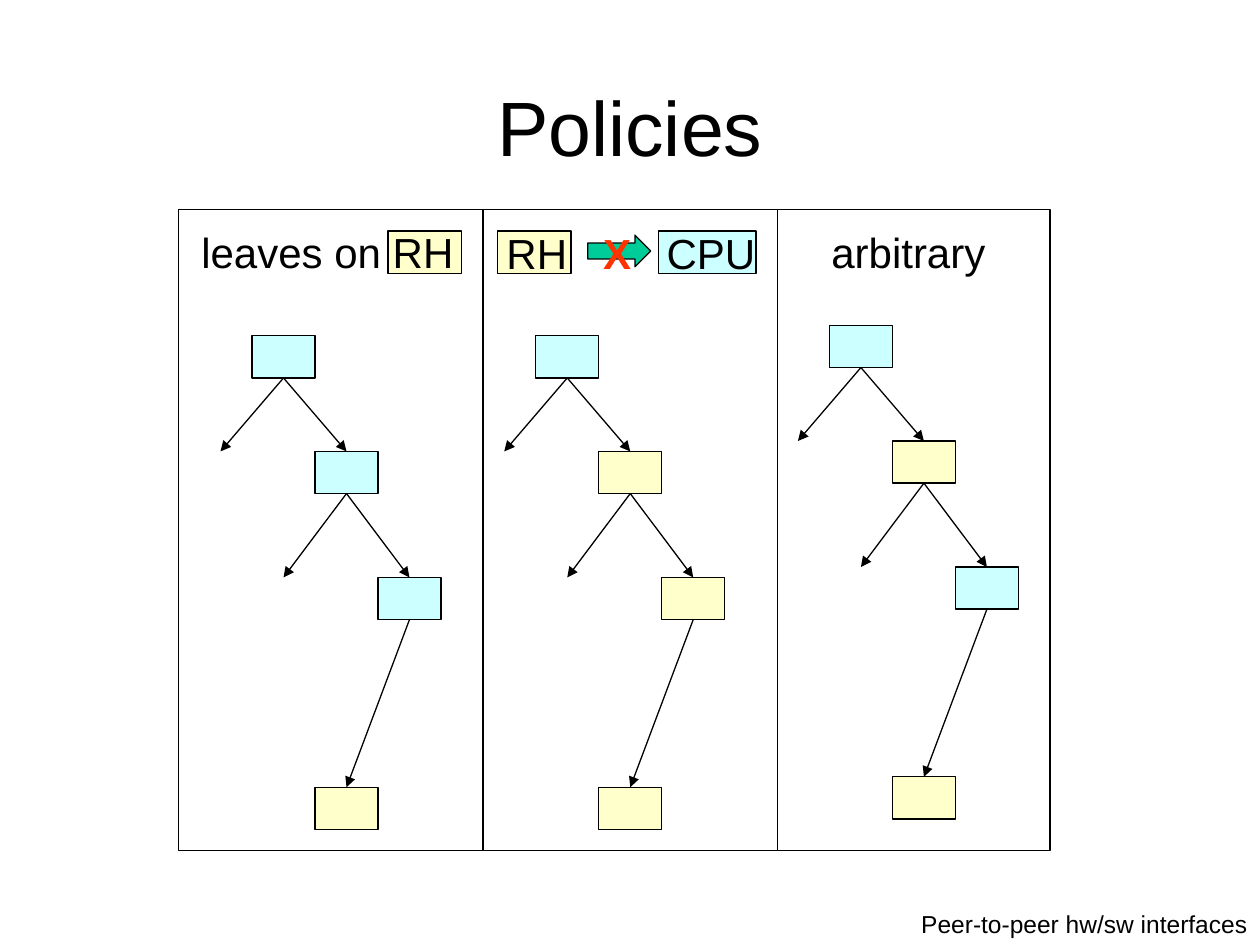
"""Build the Policies slide: three call trees split between hardware and CPU."""
from typing import NamedTuple, Optional

from lxml import etree
from pptx import Presentation
from pptx import util as u
from pptx.dml.color import RGBColor
from pptx.enum import shapes, text
from pptx.oxml import ns

BLACK = RGBColor(0x00, 0x00, 0x00)
HARDWARE = RGBColor(0xFF, 0xFF, 0xCC)
CPU = RGBColor(0xCC, 0xFF, 0xFF)
ARROW_GREEN = RGBColor(0x00, 0xCC, 0x99)
CROSS_RED = RGBColor(0xFF, 0x33, 0x00)
FONT = "Arial"
LINE_WIDTH = u.Pt(0.75)
NODE_WIDTH, NODE_HEIGHT = 1.27, 0.85
STEP = 1.27
NODE_OFFSETS = ((0, 0), (STEP, 2.33), (2 * STEP, 4.87), (STEP, 9.1))
PANEL_TOP, PANEL_HEIGHT = 4.23, 12.91


class Box(NamedTuple):
    left: float
    top: float
    width: float
    height: float


class Span(NamedTuple):
    words: str
    size: int = 24
    color: RGBColor = BLACK
    bold: bool = False


class Label(NamedTuple):
    box: Box
    spans: tuple[Span, ...]
    align: text.PP_ALIGN = text.PP_ALIGN.LEFT
    anchor: text.MSO_ANCHOR = text.MSO_ANCHOR.TOP
    wrap: bool = False
    tabs: tuple[float, ...] = ()


class Policy(NamedTuple):
    panel_left: float
    panel_width: float
    root_left: float
    root_top: float
    owners: tuple[RGBColor, ...]


POLICIES = (
    Policy(3.6, 6.14, 5.08, 6.77, (CPU, CPU, CPU, HARDWARE)),
    Policy(9.74, 5.93, 10.8, 6.77, (CPU, HARDWARE, HARDWARE, HARDWARE)),
    Policy(15.67, 5.5, 16.72, 6.56, (CPU, HARDWARE, CPU, HARDWARE)),
)

KEYS = (
    (Box(7.82, 4.66, 1.48, 0.85), HARDWARE),
    (Box(10.03, 4.66, 1.48, 0.85), HARDWARE),
    (Box(13.28, 4.66, 1.96, 0.85), CPU),
)

LABELS = (
    Label(Box(1.9, 1.69, 21.6, 1.7), (Span("Policies", 44),),
          text.PP_ALIGN.CENTER, text.MSO_ANCHOR.MIDDLE, True),
    Label(Box(3.81, 4.45, 5.59, 1.27), (Span("leaves on RH"),)),
    Label(Box(9.96, 4.32, 5.54, 1.45),
          (Span("RH"), Span("\t", 28), Span("X", color=CROSS_RED, bold=True), Span("\tCPU")),
          tabs=(1.95, 3.23)),
    Label(Box(16.51, 4.45, 3.61, 1.27), (Span("arbitrary"),)),
    Label(Box(15.88, 18.2, 9.52, 0.85), (Span("Peer-to-peer hw/sw interfaces", 14),),
          text.PP_ALIGN.RIGHT, wrap=True),
)


def add_block(slide, box: Box, fill: Optional[RGBColor],
              kind: shapes.MSO_SHAPE = shapes.MSO_SHAPE.RECTANGLE) -> None:
    block = slide.shapes.add_shape(kind, *map(u.Cm, box))
    block.shadow.inherit = False
    if fill is None:
        block.fill.background()
    else:
        block.fill.solid()
        block.fill.fore_color.rgb = fill
    block.line.color.rgb = BLACK
    block.line.width = LINE_WIDTH


def add_call(slide, start: tuple[float, float], end: tuple[float, float]) -> None:
    call = slide.shapes.add_connector(
        shapes.MSO_CONNECTOR.STRAIGHT, *map(u.Cm, start + end))
    call.line.color.rgb = BLACK
    call.line.width = LINE_WIDTH
    etree.SubElement(call.line._get_or_add_ln(), ns.qn("a:tailEnd"), type="triangle")
    etree.SubElement(call._element.spPr, ns.qn("a:effectLst"))


def add_tree(slide, policy: Policy) -> None:
    nodes = [Box(policy.root_left + across, policy.root_top + down, NODE_WIDTH, NODE_HEIGHT)
             for across, down in NODE_OFFSETS]
    for node, owner in zip(nodes, policy.owners):
        add_block(slide, node, owner)
    for depth, (caller, callee) in enumerate(zip(nodes, nodes[1:])):
        middle = caller.left + NODE_WIDTH / 2
        sides = (-STEP,) if depth == 2 else (-STEP, STEP)
        for side in sides:
            add_call(slide, (middle, caller.top + NODE_HEIGHT), (middle + side, callee.top))


def add_label(slide, label: Label) -> None:
    frame = slide.shapes.add_textbox(*map(u.Cm, label.box)).text_frame
    frame.word_wrap = label.wrap
    frame.vertical_anchor = label.anchor
    paragraph = frame.paragraphs[0]
    paragraph.alignment = label.align
    if label.tabs:
        stops = etree.SubElement(paragraph._p.get_or_add_pPr(), ns.qn("a:tabLst"))
        for stop in label.tabs:
            etree.SubElement(stops, ns.qn("a:tab"), pos=str(u.Cm(stop)), algn="l")
    for span in label.spans:
        run = paragraph.add_run()
        run.text = span.words
        run.font.name = FONT
        run.font.size = u.Pt(span.size)
        run.font.bold = span.bold
        run.font.color.rgb = span.color


def main() -> None:
    deck = Presentation()
    deck.slide_width, deck.slide_height = u.Cm(25.4), u.Cm(19.05)
    slide = deck.slides.add_slide(deck.slide_layouts[6])
    for box, owner in KEYS:
        add_block(slide, box, owner)
    add_block(slide, Box(11.85, 4.74, 1.27, 0.64), ARROW_GREEN, shapes.MSO_SHAPE.RIGHT_ARROW)
    for policy in POLICIES:
        add_tree(slide, policy)
    for policy in POLICIES:
        add_block(slide, Box(policy.panel_left, PANEL_TOP, policy.panel_width, PANEL_HEIGHT), None)
    for label in LABELS:
        add_label(slide, label)
    deck.save("out.pptx")


if __name__ == "__main__":
    main()
